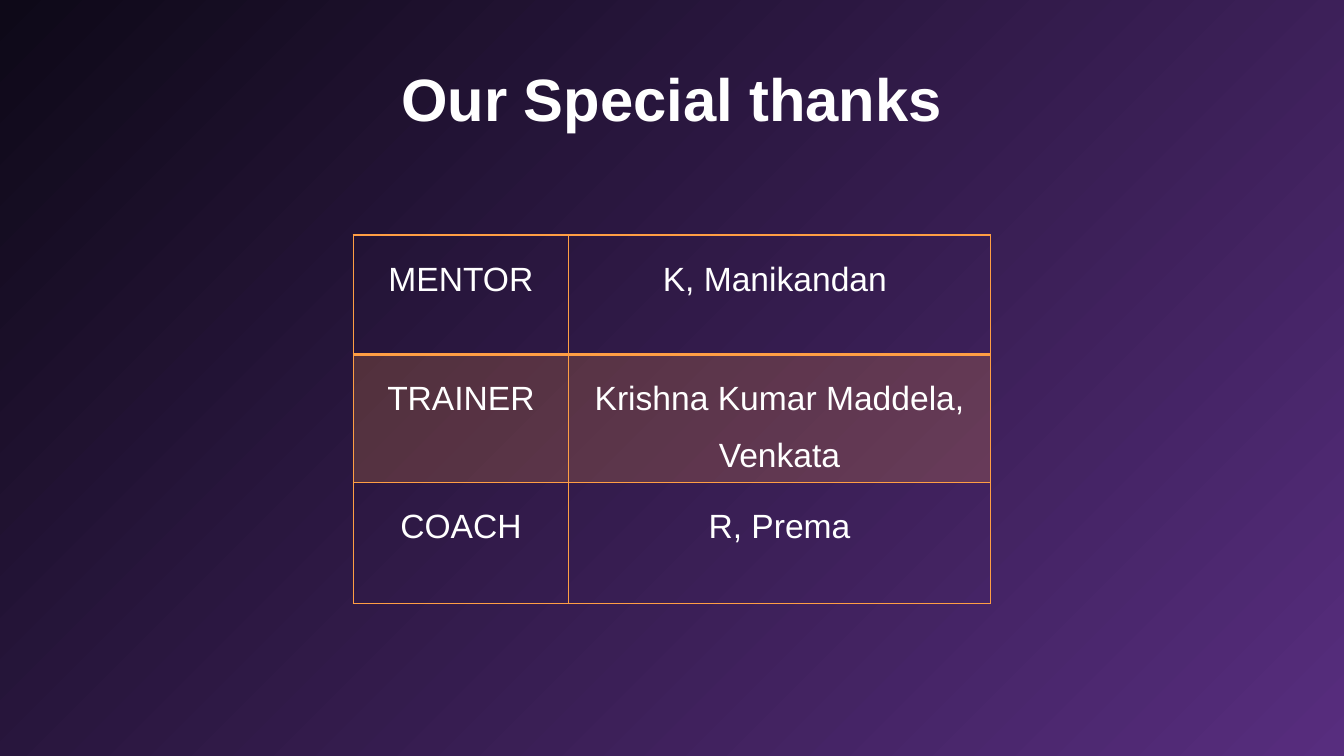
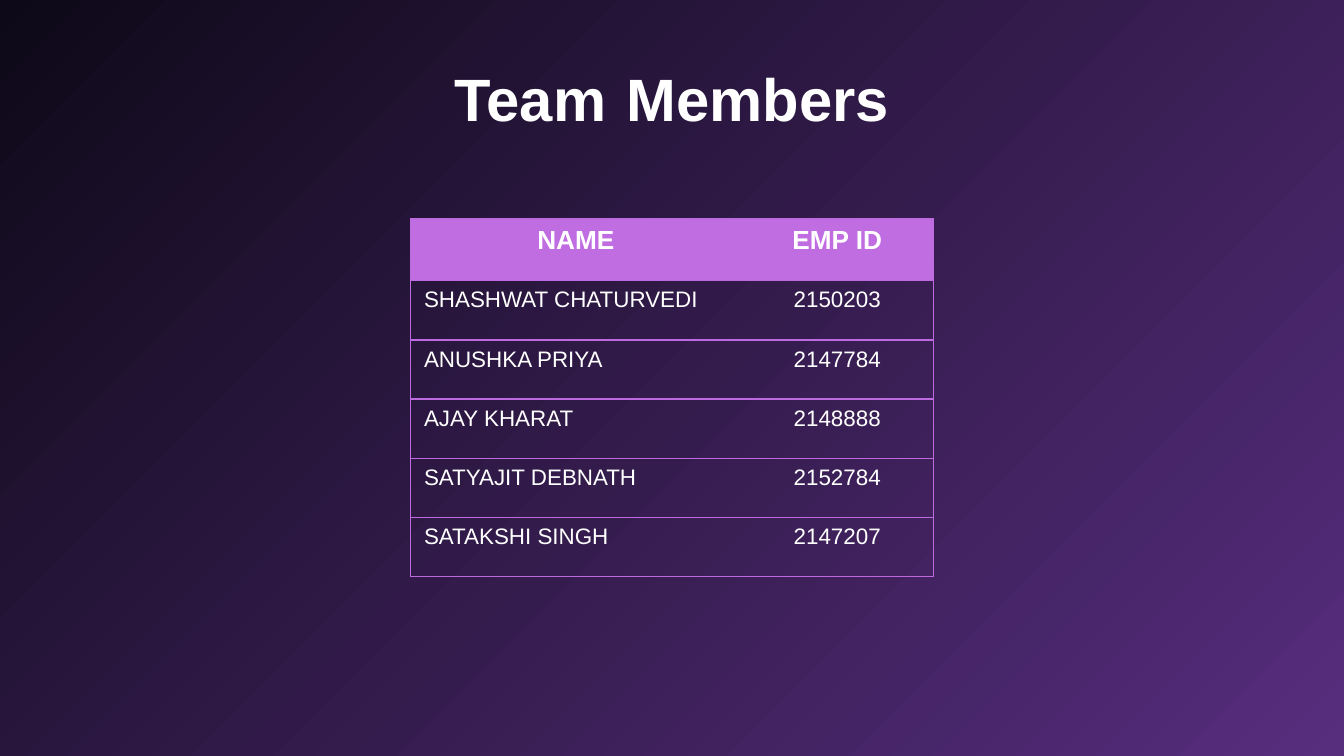
from pptx import Presentation
from pptx.dml.color import RGBColor
from pptx.enum.text import MSO_ANCHOR, PP_ALIGN
from pptx.oxml import parse_xml
from pptx.oxml.ns import nsdecls, qn
from pptx.util import Inches, Pt
from lxml.etree import SubElement

# Shared look
SLIDE_WIDTH = 10
SLIDE_HEIGHT = SLIDE_WIDTH * 9 / 16
FONT = "Arial"
WHITE, ORANGE, VIOLET, HEADER_VIOLET = "FFFFFF", "FF9E44", "BD69E0", "C06DE2"
GLOW, NIGHT = "572D7E", "0E0918"
NO_STYLE = "{2D5ABB26-0587-4C30-8999-92F81FD0307C}"
CENTER, LEFT = PP_ALIGN.CENTER, PP_ALIGN.LEFT

# Content
THANKS_TITLE = [("Our Special thanks", {})]
THANKS_ROWS = [
    ("MENTOR", "K, Manikandan "),
    ("TRAINER", "Krishna Kumar Maddela, Venkata"),
    ("COACH", "R, Prema"),
]
TEAM_TITLE = [("Team", {}), (" ", {"size": 48, "font": "Cabin"}), ("Members", {})]
TEAM_ROWS = [
    ("NAME", "EMP ID"),
    ("SHASHWAT CHATURVEDI", "2150203"),
    ("ANUSHKA PRIYA", "2147784"),
    ("AJAY KHARAT", "2148888"),
    ("SATYAJIT DEBNATH", "2152784"),
    ("SATAKSHI SINGH", "2147207"),
]


def color(value):
    return RGBColor.from_string(value)


def write_text(frame, runs, size=12, bold=False, font=FONT, align=CENTER, spacing=1.0):
    """Write a string, or (text, format) pairs, as one paragraph."""
    frame.word_wrap = True
    paragraph = frame.paragraphs[0]
    paragraph.alignment = align
    paragraph.line_spacing = spacing
    for text, changes in [(runs, {})] if isinstance(runs, str) else runs:
        run = paragraph.add_run()
        run.text = text
        run.font.size = Pt(changes.get("size", size))
        run.font.name = changes.get("font", font)
        run.font.bold = bold
        run.font.color.rgb = color(WHITE)


def add_slide(presentation, title, title_top):
    """Add a slide with the glowing background and a centred title."""
    slide = presentation.slides.add_slide(presentation.slide_layouts[6])
    slide.element.cSld.insert(0, parse_xml(
        f'<p:bg {nsdecls("p", "a")}><p:bgPr><a:gradFill rotWithShape="1"><a:gsLst>'
        f'<a:gs pos="0"><a:srgbClr val="{GLOW}"/></a:gs>'
        f'<a:gs pos="100000"><a:srgbClr val="{NIGHT}"/></a:gs></a:gsLst>'
        '<a:path path="circle"><a:fillToRect l="100000" t="100000"/></a:path>'
        '</a:gradFill><a:effectLst/></p:bgPr></p:bg>'))
    box = slide.shapes.add_textbox(0, Inches(title_top), Inches(SLIDE_WIDTH), Inches(1.38))
    frame = box.text_frame
    frame.margin_left = frame.margin_right = frame.margin_top = frame.margin_bottom = 0
    frame.vertical_anchor = MSO_ANCHOR.MIDDLE
    write_text(frame, title, size=32, bold=True, spacing=0.9)
    return slide


def add_plain_table(slide, top, widths, heights):
    """Add an unstyled, horizontally centred table."""
    width = sum(widths)
    table = slide.shapes.add_table(
        len(heights), len(widths), Inches((SLIDE_WIDTH - width) / 2), Inches(top),
        Inches(width), Inches(sum(heights))).table
    table.first_row = table.horz_banding = False
    table._tbl.tblPr.find(qn("a:tableStyleId")).text = NO_STYLE
    for column, column_width in zip(table.columns, widths):
        column.width = Inches(column_width)
    for row, height in zip(table.rows, heights):
        row.height = Inches(height)
    return table


def format_cell(cell, borders, line_color, fill=None, opacity=100):
    """Draw borders, given as {side: points}, and then the fill."""
    properties = cell._tc.get_or_add_tcPr()
    for side in "LRTB":
        if side in borders:
            line = SubElement(properties, qn(f"a:ln{side}"), w=str(Pt(borders[side])))
            solid = SubElement(line, qn("a:solidFill"))
            SubElement(solid, qn("a:srgbClr"), val=line_color)
    if fill is None:
        cell.fill.background()
        return
    cell.fill.solid()
    cell.fill.fore_color.rgb = color(fill)
    if opacity < 100:
        shade = properties.find(qn("a:solidFill")).find(qn("a:srgbClr"))
        SubElement(shade, qn("a:alpha"), val=str(opacity * 1000))


def build_thanks(presentation):
    slide = add_slide(presentation, THANKS_TITLE, 0.07)
    table = add_plain_table(slide, 1.75, [1.6, 3.14], [0.89, 0.9, 0.9])
    for row, texts in enumerate(THANKS_ROWS):
        # A heavier rule separates the mentor from the rest
        borders = {"L": 1, "R": 1, "T": 2 if row == 1 else 1, "B": 2 if row == 0 else 1}
        for column, text in enumerate(texts):
            cell = table.cell(row, column)
            cell.margin_bottom = 0
            write_text(cell.text_frame, text, size=18, spacing=1.5)
            format_cell(cell, borders, ORANGE, ORANGE if row == 1 else None, 20)


def build_team(presentation):
    slide = add_slide(presentation, TEAM_TITLE, 0)
    table = add_plain_table(slide, 1.63, [2.46, 1.43], [0.46] + [0.44] * 5)
    for row, texts in enumerate(TEAM_ROWS):
        header = row == 0
        for column, text in enumerate(texts):
            cell = table.cell(row, column)
            write_text(cell.text_frame, text, size=14 if header else 12, bold=header,
                       align=CENTER if header or column else LEFT)
            # Only the outer side of each column is ruled
            borders = {"LR"[column]: 0.75, "T": 0.75, "B": 0.75}
            format_cell(cell, borders, VIOLET, HEADER_VIOLET if header else None)


def main():
    presentation = Presentation()
    presentation.slide_width = Inches(SLIDE_WIDTH)
    presentation.slide_height = Inches(SLIDE_HEIGHT)
    build_thanks(presentation)
    build_team(presentation)
    presentation.save("out.pptx")


if __name__ == "__main__":
    main()
